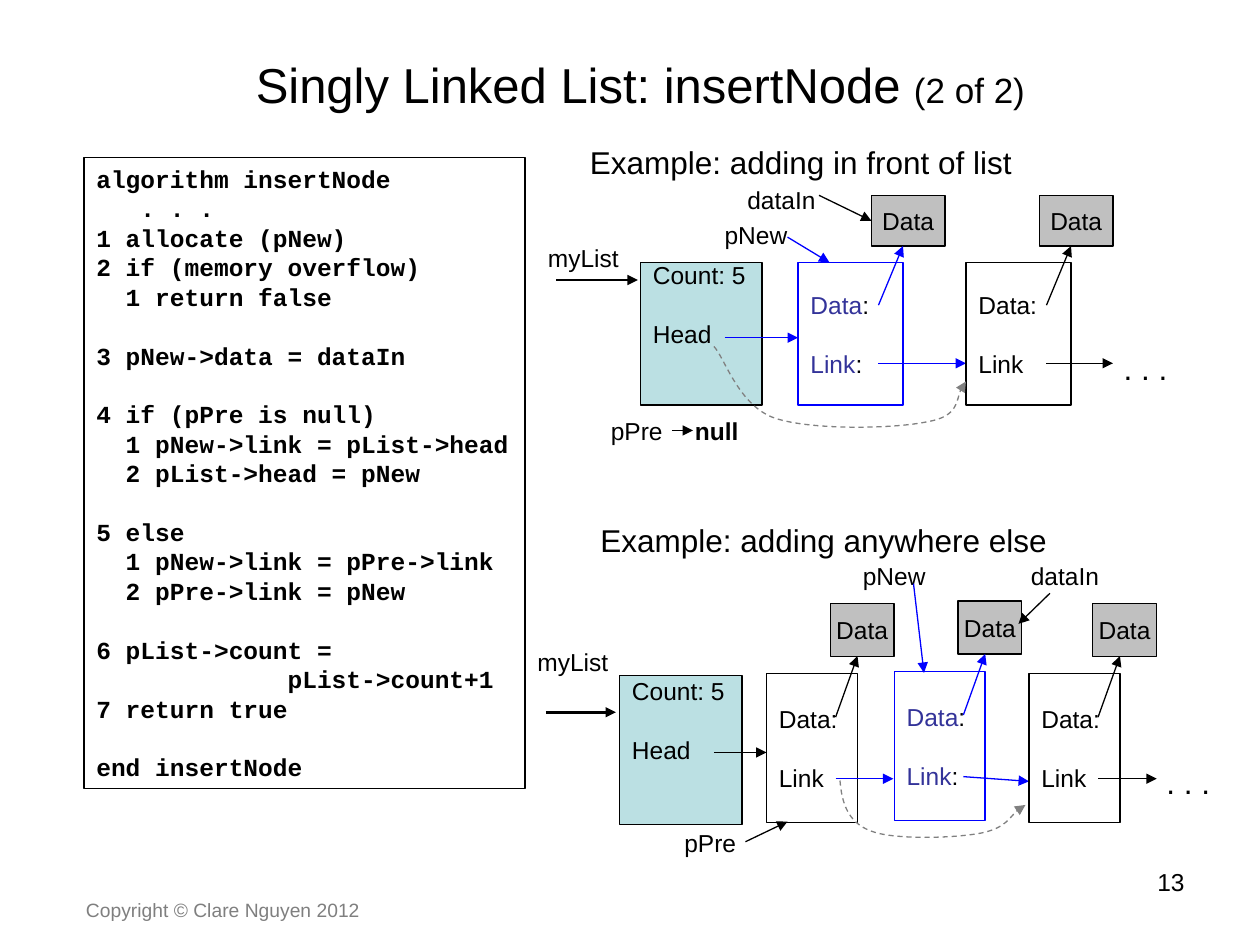
"""Build the slide on inserting a node into a singly linked list."""
from lxml import etree
from pptx import Presentation
from pptx import util as u
from pptx.dml.color import RGBColor
from pptx.enum import dml, shapes, text
from pptx.oxml.ns import qn

Pt = u.Pt
C = {"black": "000000", "blue": "0000FF", "navy": "333399", "teal": "BBE0E3",
     "silver": "C0C0C0", "gray": "808080", "footer": "7F7F7F"}
LEADING = 16.8

CODE = [
    ["algorithm insertNode", "   . . .", "1 allocate (pNew)",
     "2 if (memory overflow)", "  1 return false"],
    ["3 pNew->data = dataIn"],
    ["4 if (pPre is null)", "  1 pNew->link = pList->head", "  2 pList->head = pNew"],
    ["5 else", "  1 pNew->link = pPre->link", "  2 pPre->link = pNew"],
    ["6 pList->count =", "             pList->count+1", "7 return true"],
    ["end insertNode"],
]

FRONT = {
    "labels": [("Example: adding in front of list", 330, 78, 256, 18),
               ("dataIn", 420, 102, 53, 14), ("pNew", 407, 122, 50, 14),
               ("myList", 306, 135.5, 66, 14), ("pPre", 342, 234, 44, 14),
               ("null", 390, 234, 39, 14), (". . .", 635, 196, 39, 18)],
    "head": (366, 150, 69.5, 81.5),
    "node": {"size": (60, 81.5), "data": (42, -38.2, 42, 28.8), "start": (46, 24.4),
             "end": (60, -9.4), "link": (46, 57.6)},
    "nodes": [(456, 150, True, "blue", (552, 207.6)),
              (552, 150, False, "black", (636, 207.6))],
    "arrows": [((318, 160), (364.5, 160), "black", 1.5),
               ((414, 193), (456, 193), "blue", 0.75),
               ((450, 135.5), (474, 150), "blue", 0.75),
               ((384, 246), (396, 246), "black", 0.75)],
    "curve": [(408, 198), (414, 204.5), (422.5, 232), (443, 239), (463.5, 246),
              (512, 245), (530, 241), (548, 237.5), (547, 222.5), (552, 217.5)],
}
ELSEWHERE = {
    "labels": [("Example: adding anywhere else", 336, 294, 269, 18),
               ("dataIn", 582, 317, 53, 14), ("pNew", 486, 317, 50, 14),
               ("myList", 300, 366, 57, 14), ("pPre", 384, 469.5, 44, 14),
               (". . .", 659.5, 432.5, 39, 18)],
    "head": (354, 386, 70, 85),
    "node": {"size": (52, 85), "data": (36.4, -40.3, 36.5, 30.3), "start": (39.5, 24.8),
             "end": (52, -10.1), "link": (39.5, 60)},
    "nodes": [(438, 385, False, "blue", (510.5, 445)),
              (511, 383.8, True, "blue", (588, 446.5)),
              (588, 385, False, "black", (661, 445))],
    "arrows": [((312, 407), (352, 407), "black", 1.5),
               ((408, 430), (438, 430), "black", 0.75),
               ((522, 333.5), (528, 384.5), "blue", 0.75),
               ((600, 339), (582, 356.5), "black", 0.75),
               ((426, 481), (450, 469.5), "black", 0.75)],
    "curve": [(480, 446.5), (481, 458.5), (484.5, 470), (498, 475), (511, 479.5),
              (546.5, 479), (561, 476), (575, 473), (580.5, 462.5), (585.5, 459.5)],
}

prs = Presentation()
prs.slide_width, prs.slide_height = Pt(720), Pt(540)
s = prs.slides.add_slide(prs.slide_layouts[6])


def rgb(name):
    return RGBColor.from_string(C[name])


def style(r, size=14, color="black", bold=False, font="Arial"):
    r.font.name, r.font.size, r.font.bold = font, Pt(size), bold
    r.font.color.rgb = rgb(color)


def label(words, x, y, w, size, h=None, color="black", align=text.PP_ALIGN.LEFT):
    tf = s.shapes.add_textbox(Pt(x), Pt(y), Pt(w), Pt(h or size * 1.2 + 7.2)).text_frame
    tf.word_wrap = True
    if align == text.PP_ALIGN.LEFT:
        tf.margin_right = 0
    p = tf.paragraphs[0]
    p.text, p.alignment = words, align
    style(p.runs[0], size, color, words == "null")
    return tf


def box(x, y, w, h, fill=None, line="black"):
    sp = s.shapes.add_shape(shapes.MSO_SHAPE.RECTANGLE, Pt(x), Pt(y), Pt(w), Pt(h))
    sp.shadow.inherit = False
    if fill:
        sp.fill.solid()
        sp.fill.fore_color.rgb = rgb(fill)
    else:
        sp.fill.background()
    sp.line.color.rgb, sp.line.width = rgb(line), Pt(0.75)
    sp.text_frame.word_wrap = False
    return sp


def write(sp, blocks, **font):
    tf = sp.text_frame
    tf.text = "\n".join(line for block in blocks for line in block)
    starts = [i == 0 for block in blocks for i in range(len(block))]
    for i, (p, starts_block) in enumerate(zip(tf.paragraphs, starts)):
        p.alignment, p.line_spacing = text.PP_ALIGN.LEFT, Pt(LEADING)
        if i and starts_block:
            p.space_before = Pt(LEADING)
        for r in p.runs:
            style(r, **font)


def finish_line(sp, color, width=0.75):
    sp.line.color.rgb, sp.line.width = rgb(color), Pt(width)
    etree.SubElement(sp.line._get_or_add_ln(), qn("a:tailEnd"), type="triangle")


def arrow(start, end, color="black", width=0.75):
    points = [Pt(v) for v in (*start, *end)]
    cx = s.shapes.add_connector(shapes.MSO_CONNECTOR.STRAIGHT, *points)
    finish_line(cx, color, width)
    etree.SubElement(cx._element.spPr, qn("a:effectLst"))
    return cx


def curve(points):
    builder = s.shapes.build_freeform(*points[0], scale=Pt(1))
    builder.add_line_segments(points[1:], close=False)
    sp = builder.convert_to_shape()
    sp.shadow.inherit = False
    sp.fill.background()
    sp.line.dash_style = dml.MSO_LINE.DASH
    finish_line(sp, "gray")
    segments = list(sp._element.iter(qn("a:lnTo")))
    for i in range(0, len(segments), 3):
        bezier = etree.Element(qn("a:cubicBezTo"))
        segments[i].addprevious(bezier)
        for segment in segments[i:i + 3]:
            bezier.append(segment[0])
            segment.getparent().remove(segment)


def node(geometry, x, y, new, link_color, link_end):
    def at(key):
        dx, dy = geometry[key][:2]
        return x + dx, y + dy

    line = "blue" if new else "black"
    sp = box(x, y, *geometry["size"], line=line)
    last = "Link:" if new else "Link"
    write(sp, [["Data:"], [last]])
    if new:
        for p in sp.text_frame.paragraphs:
            p.runs[0].text = p.text[:-1]
            style(p.runs[0], color="navy")
            r = p.add_run()
            r.text = ":"
            style(r)
    data = box(*at("data"), *geometry["data"][2:], fill="silver")
    p = data.text_frame.paragraphs[0]
    p.text, p.alignment = "Data", text.PP_ALIGN.CENTER
    style(p.runs[0])
    arrow(at("start"), at("end"), line)
    arrow(at("link"), link_end, link_color)
    return data


def diagram(d):
    for item in d["labels"]:
        label(*item)
    head = box(*d["head"], fill="teal")
    head.text_frame.margin_top, head.text_frame.margin_bottom = 0, Pt(2 * LEADING)
    write(head, [["Count: 5"], ["Head"]])
    data_boxes = [node(d["node"], *item) for item in d["nodes"]]
    for item in d["arrows"]:
        arrow(*item)
    curve(d["curve"])
    return data_boxes


title = label("Singly Linked List: insertNode ", 42, 24, 648, 28, 48,
              align=text.PP_ALIGN.CENTER)
title.vertical_anchor = text.MSO_ANCHOR.MIDDLE
r = title.paragraphs[0].add_run()
r.text = "(2 of 2)"
style(r, 20)

write(box(48, 90, 252, 360.5), CODE, bold=True, font="Courier New")
front_data = diagram(FRONT)
arrow((468, 111.6), (498, 126)).end_connect(front_data[0], 1)
diagram(ELSEWHERE)

label("Copyright © Clare Nguyen 2012", 42, 510, 228, 11, 13.5, "footer")
label("13", 516, 492, 168, 14, 37.5, align=text.PP_ALIGN.RIGHT)

prs.save("out.pptx")
